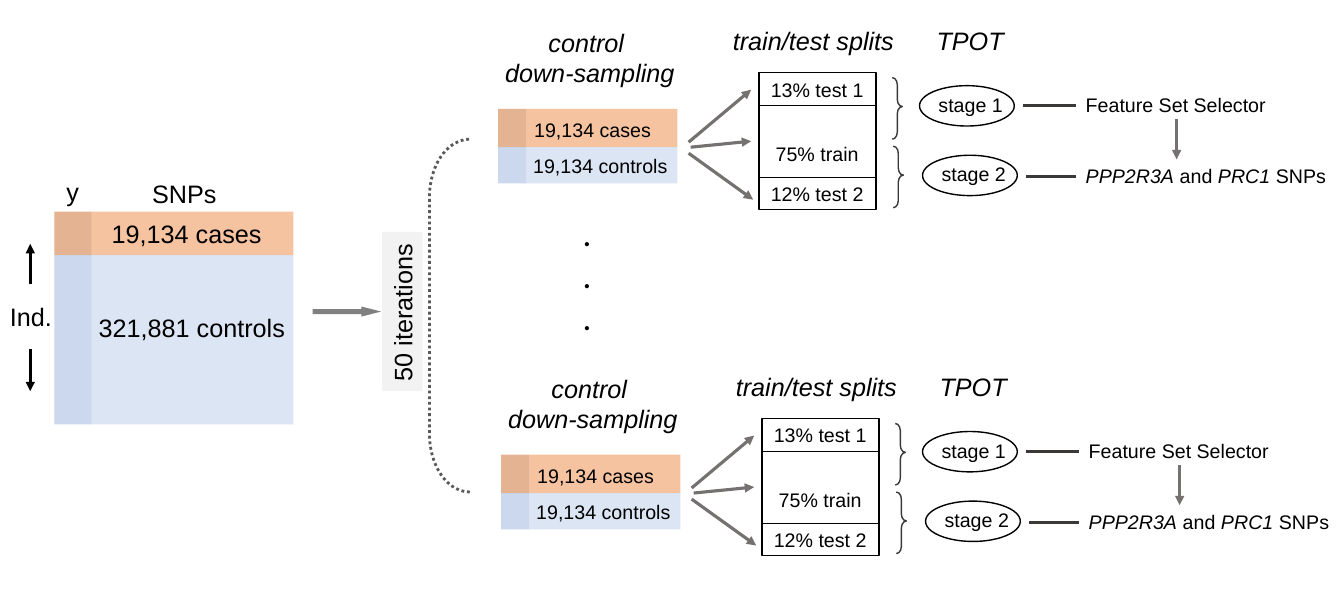
"""Draw the case and control sampling flow on one slide."""
from dataclasses import dataclass
from lxml.etree import SubElement
from pptx import Presentation
from pptx.dml.color import RGBColor
from pptx.enum.dml import MSO_LINE
from pptx.enum.shapes import MSO_CONNECTOR, MSO_SHAPE
from pptx.enum.text import MSO_ANCHOR, MSO_AUTO_SIZE, PP_ALIGN
from pptx.oxml.ns import qn
from pptx.util import Inches, Pt


@dataclass(frozen=True)
class Theme:
    """Hold the colours, fonts and type sizes."""
    ink: str = "000000"
    case: str = "ED7D31"
    case_key: str = "C55A11"
    control: str = "B4C7E7"
    control_key: str = "8FAADC"
    panel: str = "F2F2F2"
    block: str = "808080"
    arrow: str = "767171"
    link: str = "3B3838"
    dots: str = "595959"
    font: str = "Arial"
    dot_font: str = "Calibri"
    large: int = 18
    small: int = 14
    dot: int = 25


theme = Theme()


@dataclass(frozen=True)
class Box:
    """Place a box in inches."""
    x: float
    y: float
    w: float
    h: float

    def move(self, dx: float, dy: float) -> "Box":
        """Return the box shifted."""
        return Box(self.x + dx, self.y + dy, self.w, self.h)


@dataclass(frozen=True)
class Line:
    """Join two points in inches."""
    x1: float
    y1: float
    x2: float
    y2: float
    color: str
    head: bool = True

    def move(self, dx: float, dy: float) -> "Line":
        """Return the line shifted."""
        return Line(self.x1 + dx, self.y1 + dy, self.x2 + dx, self.y2 + dy,
                    self.color, self.head)


@dataclass(frozen=True)
class Word:
    """Give one run its text and slant."""
    text: str
    slant: bool = False


@dataclass(frozen=True)
class Label:
    """Place one text."""
    box: Box
    words: tuple[Word, ...]
    size: int
    mid: bool = False
    wrap: bool = False
    font: str = theme.font


deck = Presentation()
deck.slide_width, deck.slide_height = Inches(13.33), Inches(6)
slide = deck.slides.add_slide(deck.slide_layouts[6])


def place(box: Box) -> tuple:
    """Turn a box into lengths."""
    return Inches(box.x), Inches(box.y), Inches(box.w), Inches(box.h)


def write(frame, label: Label) -> None:
    """Fill a text frame run by run."""
    frame.word_wrap = label.wrap
    row = frame.paragraphs[0]
    row.alignment = PP_ALIGN.CENTER if label.mid else PP_ALIGN.LEFT
    for word in label.words:
        for i, text in enumerate(word.text.split("\n")):
            if i:
                row.add_line_break()
            run = row.add_run()
            run.text = text
            run.font.name, run.font.size = label.font, Pt(label.size)
            run.font.italic = word.slant
            run.font.color.rgb = RGBColor.from_string(theme.ink)


def add_text(label: Label) -> None:
    """Add a text box."""
    frame = slide.shapes.add_textbox(*place(label.box)).text_frame
    write(frame, label)
    frame.auto_size = MSO_AUTO_SIZE.SHAPE_TO_FIT_TEXT


def add_form(kind: MSO_SHAPE, box: Box, fill: str = "", line: str = "",
             width: float = 1, clear: int = 100, bends: tuple = ()):
    """Add a preset shape."""
    form = slide.shapes.add_shape(kind, *place(box))
    form.shadow.inherit = False
    for i, bend in enumerate(bends):
        form.adjustments[i] = bend
    if fill:
        form.fill.solid()
        form.fill.fore_color.rgb = RGBColor.from_string(fill)
        if clear < 100:
            tint = form.element.spPr.find(qn("a:solidFill")).find(qn("a:srgbClr"))
            SubElement(tint, qn("a:alpha"), val=str(clear * 1000))
    else:
        form.fill.background()
    if line:
        form.line.color.rgb = RGBColor.from_string(line)
        form.line.width = Pt(width)
    else:
        form.line.fill.background()
    return form


def add_line(line: Line) -> None:
    """Add a line or an arrow."""
    link = slide.shapes.add_connector(
        MSO_CONNECTOR.STRAIGHT, Inches(line.x1), Inches(line.y1),
        Inches(line.x2), Inches(line.y2))
    link.line.color.rgb = RGBColor.from_string(line.color)
    link.line.width = Pt(2.25)
    if line.head:
        SubElement(link.element.spPr.find(qn("a:ln")), qn("a:tailEnd"), type="triangle")
    SubElement(link.element.spPr, qn("a:effectLst"))


def add_stack(box: Box, key: float, split: float) -> None:
    """Add cases over controls, each with a key column."""
    rows = ((box.y, split, theme.case, theme.case_key),
            (box.y + split, box.h - split, theme.control, theme.control_key))
    for y, high, body, side in rows:
        add_form(MSO_SHAPE.RECTANGLE, Box(box.x + key, y, box.w - key, high), body, clear=46)
        add_form(MSO_SHAPE.RECTANGLE, Box(box.x, y, key, high), side, clear=46)


def add_flow(dx: float, dy: float) -> None:
    """Add one round of sampling, splits and stages."""
    add_stack(Box(4.94, 1.08, 1.78, 0.74).move(dx, dy), 0.28, 0.38)
    for item in (
            Label(Box(4.9, 0.22, 1.9, 0.71), (Word("control \ndown-sampling", True),),
                  theme.large, True),
            Label(Box(7.17, 0.2, 1.81, 0.4), (Word("train/test splits", True),), theme.large),
            Label(Box(9.19, 0.2, 0.88, 0.4), (Word("TPOT", True),), theme.large),
            Label(Box(5.2, 1.12, 1.37, 0.34), (Word("19,134 cases"),), theme.small),
            Label(Box(5.19, 1.48, 1.54, 0.34), (Word("19,134 controls"),), theme.small),
            Label(Box(7.53, 0.72, 1.15, 0.34), (Word("13% test 1"),), theme.small, True, True),
            Label(Box(7.53, 1.76, 1.15, 0.34), (Word("12% test 2"),), theme.small, True, True),
            Label(Box(10.67, 0.87, 2, 0.34), (Word("Feature Set Selector"),), theme.small),
            Label(Box(10.67, 1.58, 2.6, 0.34),
                  (Word("PPP2R3A", True), Word(" and "), Word("PRC1 ", True), Word("SNPs")),
                  theme.small)):
        add_text(Label(item.box.move(dx, dy), item.words, item.size, item.mid, item.wrap))
    train = Box(7.53, 1.05, 1.15, 0.71).move(dx, dy)
    form = add_form(MSO_SHAPE.RECTANGLE, train, line=theme.ink, width=0.75)
    write(form.text_frame, Label(train, (Word("75% train"),), theme.small, True, True))
    form.text_frame.paragraphs[0].line_spacing = 2.0
    add_form(MSO_SHAPE.RECTANGLE, Box(7.53, 0.72, 1.16, 1.36).move(dx, dy), line=theme.ink)
    for i in range(2):
        x, y = dx + 0.03 * i, dy + 0.69 * i
        add_form(MSO_SHAPE.OVAL, Box(9.12, 0.85, 0.94, 0.4).move(x, y), line=theme.ink)
        add_text(Label(Box(9.21, 0.87, 0.84, 0.34).move(x, y),
                       (Word(f"stage {i + 1}"),), theme.small))
        add_form(MSO_SHAPE.RIGHT_BRACE, Box(8.85 + dx + 0.01 * i, 0.77 + dy + 0.68 * i, 0.1, 0.61),
                 line=theme.link, bends=(0.7, 0.47))
        add_line(Line(10.15 + x, 1.05 + dy + 0.7 * i, 10.67 + dx, 1.05 + dy + 0.7 * i,
                      theme.link, False))
    for ends in ((6.83, 1.41, 7.45, 0.89), (6.85, 1.46, 7.45, 1.4),
                 (6.83, 1.52, 7.47, 1.98), (11.67, 1.18, 11.67, 1.58)):
        add_line(Line(*ends, theme.arrow).move(dx, dy))


add_stack(Box(0.54, 2.1, 2.37, 2.11), 0.37, 0.43)
for note in (
        Label(Box(1.41, 1.72, 1.03, 0.4), (Word("SNPs"),), theme.large, wrap=True),
        Label(Box(0.56, 1.7, 0.33, 0.4), (Word("y"),), theme.large),
        Label(Box(0, 2.94, 0.62, 0.4), (Word("Ind."),), theme.large),
        Label(Box(1.01, 2.12, 1.7, 0.4), (Word("19,134 cases"),), theme.large),
        Label(Box(0.88, 3.05, 2.07, 0.4), (Word("321,881 controls"),), theme.large),
        Label(Box(5.68, 2.05, 0.29, 1.36), (Word(".\n.\n."),), theme.dot, font=theme.dot_font)):
    add_text(note)
for start, end in ((2.82, 2.42), (3.46, 3.88)):
    add_line(Line(0.3, start, 0.3, end, theme.ink))
add_form(MSO_SHAPE.RIGHT_ARROW, Box(3.1, 3.04, 0.68, 0.1), theme.block, bends=(0.5, 1.96))
rounds = Box(3.2, 2.89, 1.58, 0.4)
panel = add_form(MSO_SHAPE.RECTANGLE, rounds, theme.panel)
panel.rotation = 270
panel.text_frame.vertical_anchor = MSO_ANCHOR.TOP
write(panel.text_frame, Label(rounds, (Word("50 iterations"),), theme.large))
curve = add_form(MSO_SHAPE.LEFT_BRACKET, Box(4.26, 1.38, 0.4, 3.5), line=theme.dots,
                 width=2, bends=(1.44,))
curve.line.dash_style = MSO_LINE.ROUND_DOT
for turn in range(2):
    add_flow(0.03 * turn, 3.43 * turn)
deck.save("out.pptx")
